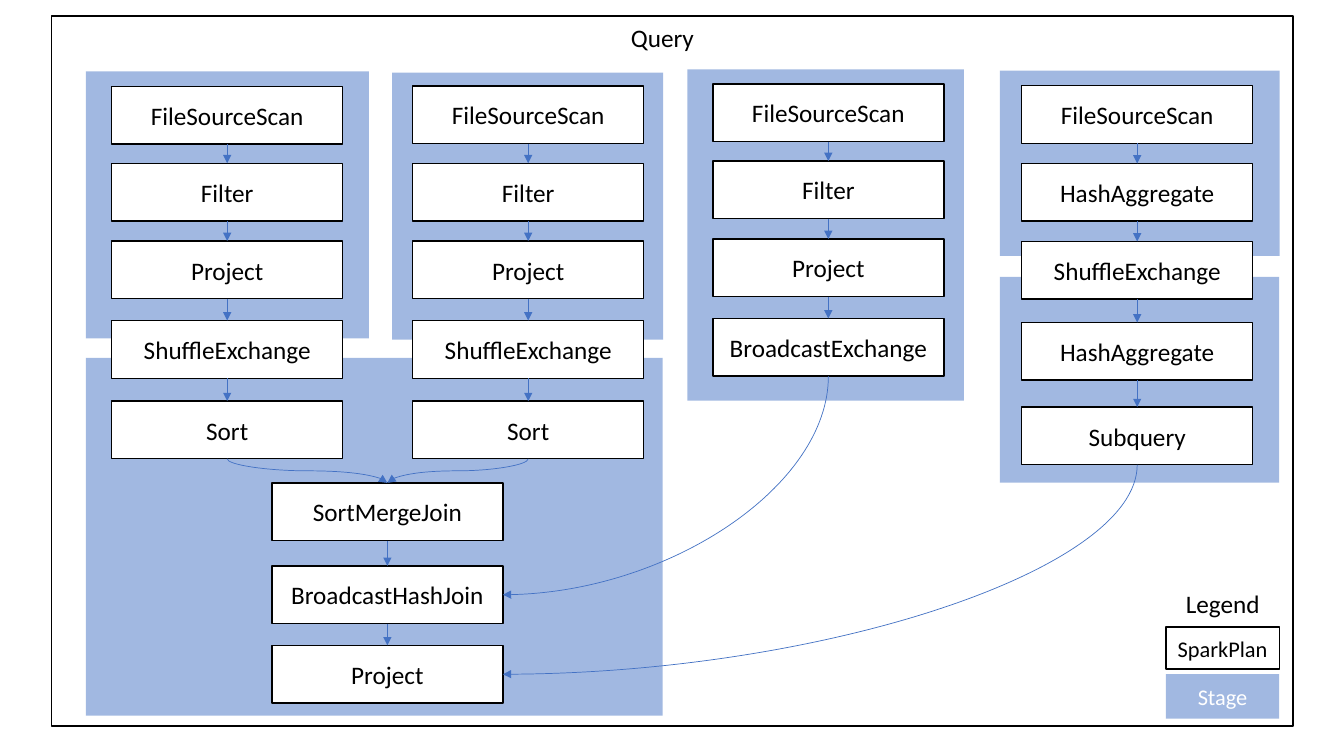
"""Build a query plan slide with stages, plan nodes and data flow arrows."""
from itertools import pairwise

from pptx import Presentation
from pptx.dml.color import RGBColor
from pptx.enum.shapes import MSO_CONNECTOR as LINK, MSO_SHAPE
from pptx.enum.text import MSO_ANCHOR, MSO_AUTO_SIZE, PP_ALIGN
from pptx.oxml.ns import qn
from pptx.util import Pt
from lxml.etree import SubElement

BLACK = RGBColor(0x00, 0x00, 0x00)
WHITE = RGBColor(0xFF, 0xFF, 0xFF)
BLUE = RGBColor(0x44, 0x72, 0xC4)
FONT = "Calibri"
NODE_WIDTH, NODE_HEIGHT = 165, 41.2
BOTTOM, TOP, RIGHT = 2, 0, 3

FRAME = (36.7, 11.5, 887, 507)
STAGES = [
    (280, 52, 193.7, 190.6),
    (491, 49.5, 197.5, 236.7),
    (714.2, 50.4, 199.8, 132.5),
    (714.2, 197.8, 199.5, 147),
    (61.3, 255.6, 412, 255.6),
    (61.3, 51, 202.2, 190.8),
]
SORTED_SCAN = ["FileSourceScan", "Filter", "Project", "ShuffleExchange", "Sort"]
COLUMNS = {
    "left": (79.8, [61.8, 116.6, 172.2, 229, 286.5], SORTED_SCAN),
    "right": (294.8, [61.4, 116.6, 172.2, 229, 286.5], SORTED_SCAN),
    "broadcast": (509.2, [60, 115, 170.7, 227.5],
                  ["FileSourceScan", "Filter", "Project", "BroadcastExchange"]),
    "subquery": (729.8, [61.2, 116.8, 172.5, 230.4, 290.8],
                 ["FileSourceScan", "HashAggregate", "ShuffleExchange",
                  "HashAggregate", "Subquery"]),
    "join": (194.2, [344.9, 404.2, 461],
             ["SortMergeJoin", "BroadcastHashJoin", "Project"]),
}
CURVES = [
    ("left", -1, "join", 0, TOP),
    ("right", -1, "join", 0, TOP),
    ("join", 0, "join", 1, TOP),
    ("join", 1, "join", 2, TOP),
    ("broadcast", -1, "join", 1, RIGHT),
    ("subquery", -1, "join", 2, RIGHT),
]
LABELS = [("Query", (443.6, 12.4, 59.8, 29)), ("Legend", (840, 417, 67.7, 29))]
LEGEND_STAGE = (832.8, 481.6, 81, 31.7)
LEGEND_PLAN = (832.8, 448, 81, 30)

presentation = Presentation()
presentation.slide_width, presentation.slide_height = Pt(960), Pt(540)
slide = presentation.slides.add_slide(presentation.slide_layouts[6])


def write(shape, text, size, color):
    paragraph = shape.text_frame.paragraphs[0]
    run = paragraph.add_run()
    run.text = text
    run.font.name, run.font.size = FONT, Pt(size)
    run.font.color.rgb = color
    return paragraph


def add_box(bounds, text="", size=18, stage=False):
    shape = slide.shapes.add_shape(MSO_SHAPE.RECTANGLE, *map(Pt, bounds))
    shape.shadow.inherit = False
    shape.fill.solid()
    shape.fill.fore_color.rgb = BLUE if stage else WHITE
    if stage:
        shape.line.fill.background()
        color = shape._element.spPr.find(qn("a:solidFill"))[0]
        SubElement(color, qn("a:alpha"), val="50000")
    else:
        shape.line.color.rgb = BLACK
        shape.line.width = Pt(1)
    if text:
        shape.text_frame.vertical_anchor = MSO_ANCHOR.MIDDLE
        paragraph = write(shape, text, size, WHITE if stage else BLACK)
        paragraph.alignment = PP_ALIGN.CENTER
    return shape


def add_arrow(source, target, kind=LINK.STRAIGHT, site=TOP):
    arrow = slide.shapes.add_connector(kind, 0, 0, 0, 0)
    arrow.begin_connect(source, BOTTOM)
    arrow.end_connect(target, site)
    arrow.line.color.rgb = BLUE
    arrow.line.width = Pt(0.5)
    SubElement(arrow.line._get_or_add_ln(), qn("a:tailEnd"), type="triangle")
    SubElement(arrow._element.spPr, qn("a:effectLst"))
    return arrow


def add_curve(source, target, site):
    """Turn a curved connector so that it leaves its source downwards."""
    arrow = add_arrow(source, target, LINK.CURVE, site)
    across = arrow.end_x - arrow.begin_x
    down = arrow.end_y - arrow.begin_y
    middle_x = (arrow.begin_x + arrow.end_x) // 2
    middle_y = (arrow.begin_y + arrow.end_y) // 2
    arrow.width, arrow.height = down, abs(across)
    arrow.left, arrow.top = middle_x - down // 2, middle_y - abs(across) // 2
    transform = arrow._element.spPr.find(qn("a:xfrm"))
    transform.flipH, transform.flipV = across > 0, False
    transform.rot = 270 if across > 0 else 90
    if site == RIGHT:
        geometry = arrow._element.spPr.find(qn("a:prstGeom"))
        geometry.set("prst", "curvedConnector2")


add_box(FRAME)
for bounds in STAGES:
    add_box(bounds, stage=True)

nodes = {
    column: [add_box((left, top, NODE_WIDTH, NODE_HEIGHT), name)
             for top, name in zip(tops, names)]
    for column, (left, tops, names) in COLUMNS.items()
}
for column, chain in nodes.items():
    if column != "join":
        for source, target in pairwise(chain):
            add_arrow(source, target)
for start, start_row, end, end_row, site in CURVES:
    add_curve(nodes[start][start_row], nodes[end][end_row], site)

add_box(LEGEND_STAGE, "Stage", 16, stage=True)
add_box(LEGEND_PLAN, "SparkPlan", 16)
for text, bounds in LABELS:
    label = slide.shapes.add_textbox(*map(Pt, bounds))
    label.text_frame.word_wrap = False
    label.text_frame.auto_size = MSO_AUTO_SIZE.SHAPE_TO_FIT_TEXT
    write(label, text, 18, BLACK)

presentation.save("out.pptx")
